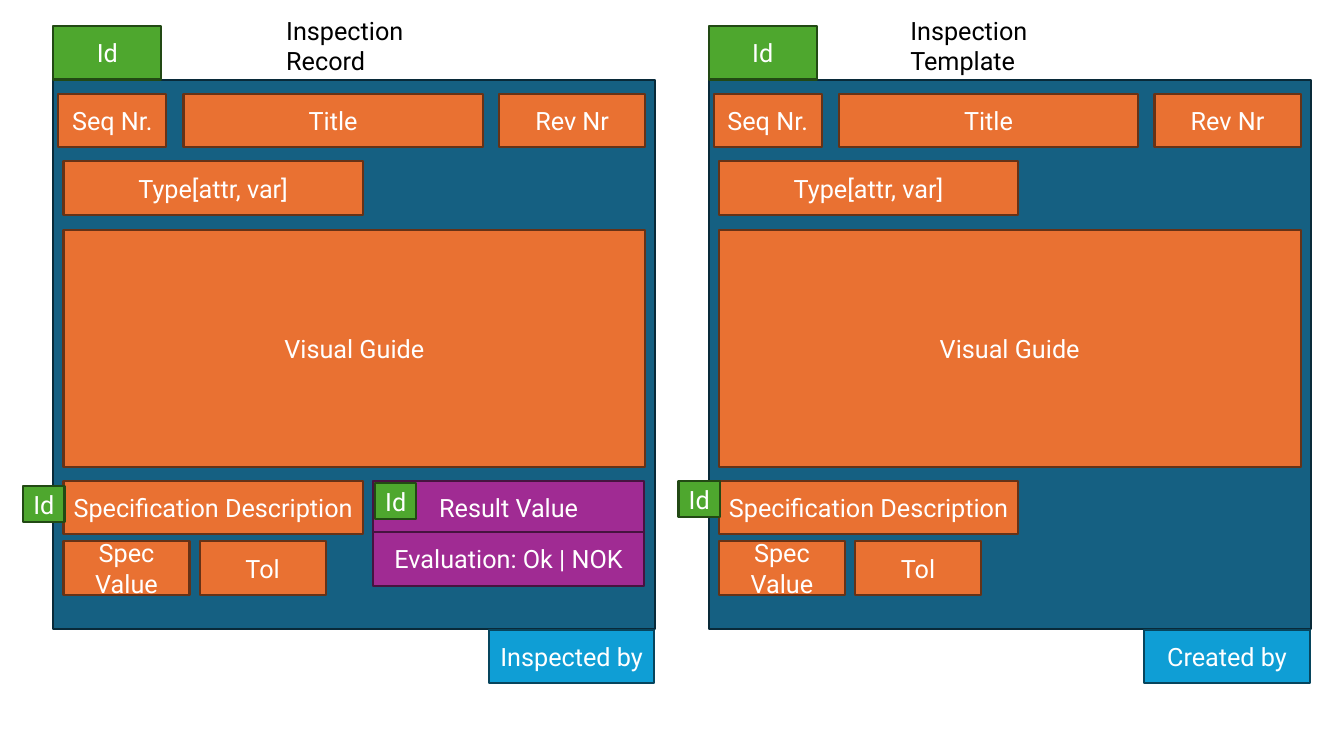
from dataclasses import dataclass

from pptx import Presentation
from pptx.dml.color import RGBColor
from pptx.enum.shapes import MSO_SHAPE
from pptx.enum.text import MSO_ANCHOR, PP_ALIGN
from pptx.util import Inches, Pt


@dataclass(frozen=True)
class Theme:
    """Each fill is paired with its outline colour."""
    panel: tuple = ("156082", "092A39")
    field: tuple = ("E97132", "663216")
    result: tuple = ("A02B93", "461340")
    signer: tuple = ("0F9ED5", "07455D")
    key: tuple = ("4EA72E", "224914")
    light: str = "FFFFFF"
    dark: str = "000000"
    font: str = "Roboto"
    size: int = 18
    line: float = 1.5


THEME = Theme()
ROW = 0.53
WIDE = 2.97
TOP = 4.77

# Text, left, top, width and height, measured from the record card
FIELDS = [
    ("Seq Nr.", 0.58, 0.93, 1.07, ROW),
    ("Title", 1.82, 0.93, WIDE, ROW),
    ("Rev Nr", 4.95, 0.93, 1.45, ROW),
    ("Type[attr, var]", 0.63, 1.6, WIDE, ROW),
    ("Visual Guide", 0.63, 2.28, 5.77, 2.35),
    ("Specification Description", 0.63, TOP, WIDE, ROW),
    ("Spec Value", 0.63, 5.37, 1.25, ROW),
    ("Tol", 1.98, 5.37, 1.25, ROW),
]


def style(frame, color):
    for par in frame.paragraphs:
        for run in par.runs:
            run.font.name = THEME.font
            run.font.size = Pt(THEME.size)
            run.font.color.rgb = RGBColor.from_string(color)


def add_box(slide, text, left, top, width, height, colors):
    box = slide.shapes.add_shape(
        MSO_SHAPE.RECTANGLE,
        Inches(left), Inches(top), Inches(width), Inches(height))
    fill, line = colors
    box.shadow.inherit = False
    box.fill.solid()
    box.fill.fore_color.rgb = RGBColor.from_string(fill)
    box.line.color.rgb = RGBColor.from_string(line)
    box.line.width = Pt(THEME.line)
    if text:
        frame = box.text_frame
        frame.text = text
        frame.word_wrap = True
        frame.vertical_anchor = MSO_ANCHOR.MIDDLE
        frame.paragraphs[0].alignment = PP_ALIGN.CENTER
        style(frame, THEME.light)


def add_label(slide, text, left, width):
    box = slide.shapes.add_textbox(
        Inches(left), Inches(0.1), Inches(width), Inches(0.4))
    frame = box.text_frame
    frame.word_wrap = True
    frame.paragraphs[0].text = text
    style(frame, THEME.dark)


def add_key(slide, left, top):
    add_box(slide, "Id", left, top, 0.41, 0.36, THEME.key)


def add_card(slide, shift, signer, key_top):
    """Draw what both cards share, moved right by shift."""
    add_box(slide, "", 0.53 + shift, 0.79, 5.97, 5.45, THEME.panel)
    for text, left, top, width, height in FIELDS:
        add_box(slide, text, left + shift, top, width, height, THEME.field)
    add_box(slide, signer, 4.85 + shift, 6.25, 1.64, ROW, THEME.signer)
    add_box(slide, "Id", 0.53 + shift, 0.26, 1.07, ROW, THEME.key)
    add_key(slide, 0.23 + shift, key_top)


def add_result(slide):
    for text, top in (("Result Value", TOP), ("Evaluation: Ok | NOK", 5.28)):
        add_box(slide, text, 3.7, top, 2.69, ROW, THEME.result)
    add_key(slide, 3.72, 4.79)


def main():
    deck = Presentation()
    deck.slide_width = Inches(13.33)
    deck.slide_height = Inches(7.5)
    slide = deck.slides.add_slide(deck.slide_layouts[6])
    add_card(slide, 0, "Inspected by", 4.82)
    add_result(slide)
    add_card(slide, 6.5, "Created by", TOP)
    add_label(slide, "Inspection\vRecord", 2.74, 2.19)
    add_label(slide, "Inspection\vTemplate", 8.93, 2.41)
    deck.save("out.pptx")


if __name__ == "__main__":
    main()
